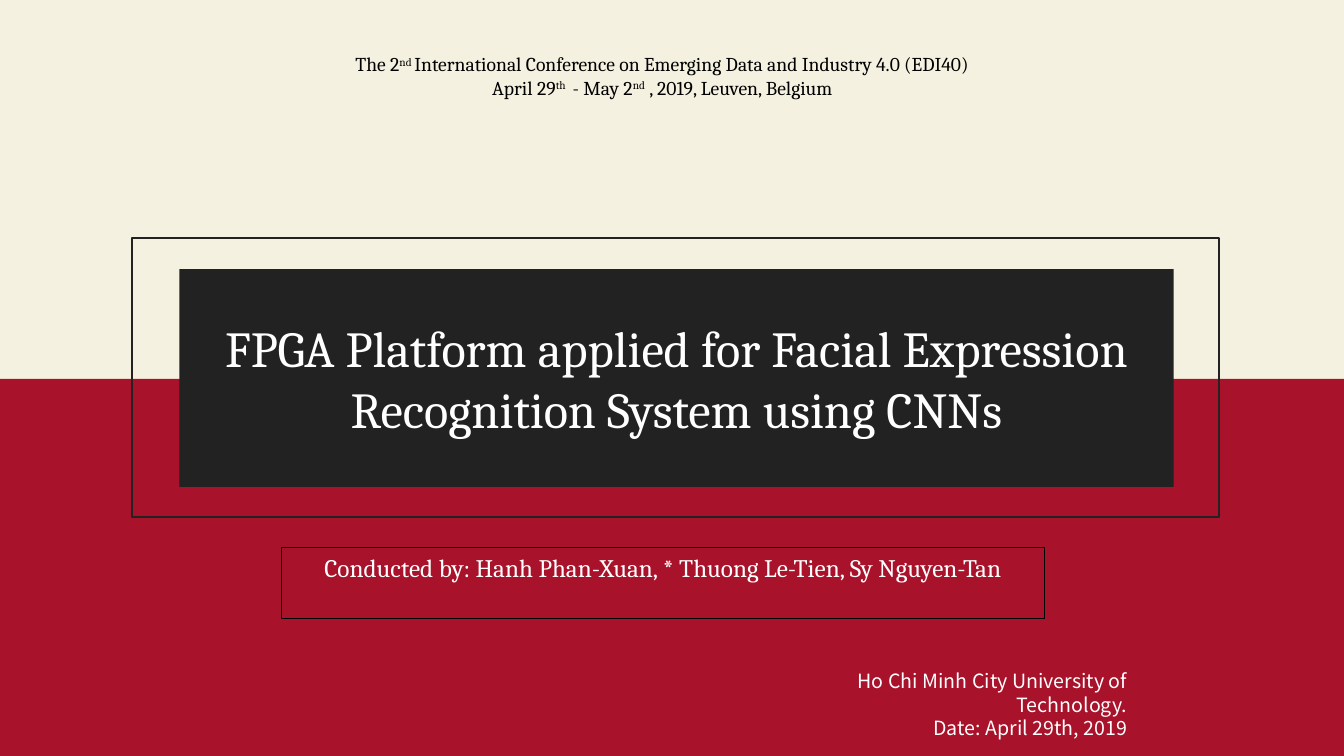
"""Build the title slide of a conference talk on facial expression recognition."""
import dataclasses
import typing

import pptx
import pptx.dml.color
import pptx.enum.shapes
import pptx.enum.text
import pptx.util

COLORS = {
    "cream": "F5F1E0",
    "crimson": "A8122A",
    "charcoal": "222222",
    "black": "000000",
    "white": "FFFFFF",
}
ALIGN = pptx.enum.text.PP_ALIGN
ANCHOR = pptx.enum.text.MSO_ANCHOR
SUPERSCRIPT = "^"


@dataclasses.dataclass(frozen=True)
class Panel:
    left: float
    top: float
    width: float
    height: float
    fill: typing.Optional[str] = None
    line: typing.Optional[str] = None
    line_width: float = 0


@dataclasses.dataclass(frozen=True)
class Caption:
    paragraphs: tuple[tuple[str, ...], ...]
    size: float
    color: str = "white"
    font: str = "Cambria"
    align: ALIGN = ALIGN.CENTER
    anchor: ANCHOR = ANCHOR.TOP
    inset: float = 0.05


CRIMSON_BAND = Panel(0, 3.76, 13.33, 3.74, fill="crimson")
TITLE_FRAME = Panel(1.31, 2.36, 10.78, 2.77, line="charcoal", line_width=1.5)
TITLE_PANEL = Panel(1.78, 2.67, 9.86, 2.16, fill="charcoal")
AUTHORS_PANEL = Panel(2.79, 5.43, 7.57, 0.71, line="black", line_width=0.75)
CONFERENCE_AREA = Panel(2.61, 0.47, 7.92, 0.57)
AFFILIATION_AREA = Panel(7.29, 6.59, 3.99, 0.81)

TITLE = Caption(
    (("FPGA Platform applied for Facial Expression Recognition System using CNNs",),),
    36, anchor=ANCHOR.MIDDLE, inset=0.1,
)
AUTHORS = Caption((("Conducted by: Hanh Phan-Xuan, * Thuong Le-Tien, Sy Nguyen-Tan",),), 18)
CONFERENCE = Caption(
    (
        ("The 2", "^nd ", "International Conference on Emerging Data and Industry 4.0 (EDI40)"),
        ("April 29", "^th ", " - May 2", "^nd", " , 2019, Leuven, Belgium"),
    ),
    14, color="black",
)
AFFILIATION = Caption(
    (("Ho Chi Minh City University of Technology.",), ("Date: April 29th, 2019",)),
    14, font="Noto Sans CJK KR", align=ALIGN.RIGHT,
)


def rgb(name: str) -> pptx.dml.color.RGBColor:
    return pptx.dml.color.RGBColor.from_string(COLORS[name])


def bounds(panel: Panel) -> list[pptx.util.Length]:
    return [pptx.util.Inches(v) for v in (panel.left, panel.top, panel.width, panel.height)]


def draw_panel(slide: pptx.slide.Slide, panel: Panel) -> pptx.shapes.autoshape.Shape:
    rectangle = slide.shapes.add_shape(
        pptx.enum.shapes.MSO_SHAPE.RECTANGLE, *bounds(panel))
    rectangle.shadow.inherit = False
    if panel.fill:
        rectangle.fill.solid()
        rectangle.fill.fore_color.rgb = rgb(panel.fill)
    else:
        rectangle.fill.background()
    if panel.line:
        rectangle.line.color.rgb = rgb(panel.line)
        rectangle.line.width = pptx.util.Pt(panel.line_width)
    else:
        rectangle.line.fill.background()
    return rectangle


def write_caption(holder: pptx.shapes.autoshape.Shape, caption: Caption) -> None:
    frame = holder.text_frame
    frame.word_wrap = True
    frame.vertical_anchor = caption.anchor
    frame.margin_left = frame.margin_right = pptx.util.Inches(0.1)
    frame.margin_top = frame.margin_bottom = pptx.util.Inches(caption.inset)
    for index, pieces in enumerate(caption.paragraphs):
        paragraph = frame.add_paragraph() if index else frame.paragraphs[0]
        paragraph.alignment = caption.align
        for piece in pieces:
            run = paragraph.add_run()
            run.text = piece.removeprefix(SUPERSCRIPT)
            run.font.name = caption.font
            run.font.size = pptx.util.Pt(caption.size)
            run.font.color.rgb = rgb(caption.color)
            if piece.startswith(SUPERSCRIPT):
                run.font._element.set("baseline", "30000")


def main() -> None:
    presentation = pptx.Presentation()
    presentation.slide_width = pptx.util.Inches(13.33)
    presentation.slide_height = pptx.util.Inches(7.5)
    slide = presentation.slides.add_slide(presentation.slide_layouts[6])
    slide.background.fill.solid()
    slide.background.fill.fore_color.rgb = rgb("cream")

    for backdrop in (CRIMSON_BAND, TITLE_FRAME):
        draw_panel(slide, backdrop)
    for panel, caption in ((TITLE_PANEL, TITLE), (AUTHORS_PANEL, AUTHORS)):
        write_caption(draw_panel(slide, panel), caption)
    for area, caption in ((CONFERENCE_AREA, CONFERENCE), (AFFILIATION_AREA, AFFILIATION)):
        write_caption(slide.shapes.add_textbox(*bounds(area)), caption)

    presentation.save("out.pptx")


if __name__ == "__main__":
    main()
